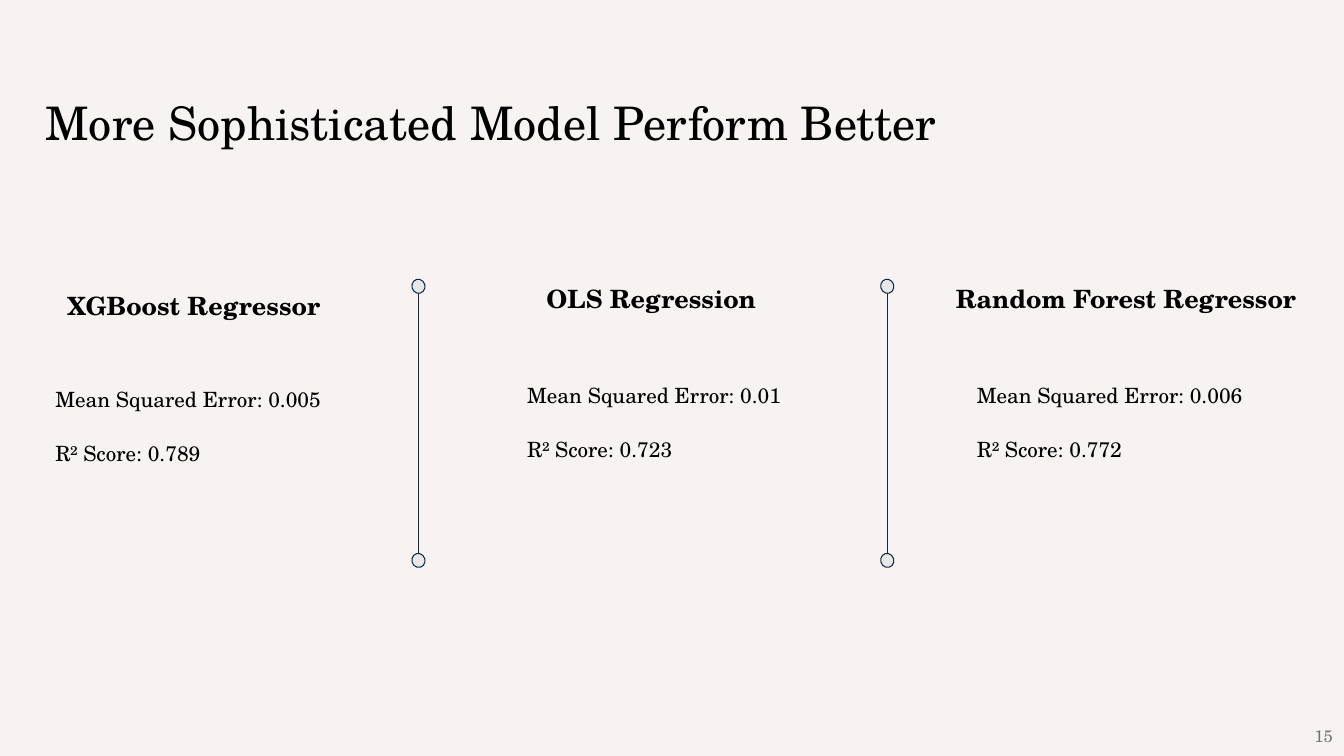
"""Build a slide that compares the scores of three regression models."""
from dataclasses import dataclass

import pptx
import pptx.dml.color
import pptx.enum.shapes
import pptx.enum.text
import pptx.oxml
import pptx.oxml.ns
import pptx.util
from pptx.util import Inches


@dataclass(frozen=True)
class Theme:
    font: str = "TeX Gyre Schola"
    background: str = "F7F3F2"
    text: str = "000000"
    muted: str = "757575"
    line: str = "0E2841"
    dot: str = "E8E8E8"
    title_size: int = 33
    heading_size: int = 18
    body_size: int = 15
    number_size: int = 12
    line_width: float = 0.75


THEME = Theme()

MODELS = [
    ("XGBoost Regressor", (0.67, 2.76, 3.2), (0.45, 3.73), "0.005", "0.789"),
    ("OLS Regression", (5.42, 2.69, 2.69), (5.13, 3.69), "0.01", "0.723"),
    ("Random Forest Regressor", (9.48, 2.69, 3.49), (9.59, 3.69), "0.006", "0.772"),
]
DIVIDERS = (4.15, 8.8)


def rgb(value):
    return pptx.dml.color.RGBColor.from_string(value)


def add_text(slide, box, lines, size, color=THEME.text, bold=False, margins=(0, 0)):
    sp = slide.shapes.add_textbox(*map(Inches, box))
    tf = sp.text_frame
    tf.word_wrap = True
    tf.margin_left = tf.margin_right = Inches(margins[0])
    tf.margin_top = tf.margin_bottom = Inches(margins[1])
    tf.text = "\n".join(lines)
    for p in tf.paragraphs:
        p.font.name = THEME.font
        p.font.size = pptx.util.Pt(size)
        p.font.bold = bold
        p.font.color.rgb = rgb(color)
    return tf


def add_heading(slide, box, text, size, bold=False):
    tf = add_text(slide, box, [text], size, bold=bold)
    tf.paragraphs[0].line_spacing = 1.4


def add_model(slide, name, heading, body, error, score):
    add_heading(slide, (*heading, 0.42), name, THEME.heading_size, bold=True)
    lines = [f"Mean Squared Error: {error}", f"R² Score: {score}"]
    tf = add_text(slide, (*body, 3.28, 1), lines, THEME.body_size, margins=(0.1, 0.1))
    p = tf.paragraphs[1]
    p.space_before = pptx.util.Pt(18)
    p.line_spacing = 1.15


def style_line(line):
    line.color.rgb = rgb(THEME.line)
    line.width = pptx.util.Pt(THEME.line_width)


def add_divider(slide, x, top=2.84, bottom=5.56):
    straight = pptx.enum.shapes.MSO_CONNECTOR.STRAIGHT
    cxn = slide.shapes.add_connector(
        straight, Inches(x), Inches(top), Inches(x), Inches(bottom))
    style_line(cxn.line)
    cxn._element.spPr.append(pptx.oxml.parse_xml(
        f"<a:effectLst {pptx.oxml.ns.nsdecls('a')}/>"))
    width, height = 0.13, 0.14
    for y in (top, bottom):
        dot = slide.shapes.add_shape(
            pptx.enum.shapes.MSO_SHAPE.OVAL, Inches(x - width / 2),
            Inches(y - height / 2), Inches(width), Inches(height))
        dot.rotation = 344.1
        dot.shadow.inherit = False
        dot.fill.solid()
        dot.fill.fore_color.rgb = rgb(THEME.dot)
        style_line(dot.line)


def add_page_number(slide, number):
    tf = add_text(slide, (10.32, 7.1, 3, 0.4), [number], THEME.number_size,
                  color=THEME.muted, margins=(0.1, 0.05))
    tf.vertical_anchor = pptx.enum.text.MSO_ANCHOR.MIDDLE
    tf.paragraphs[0].alignment = pptx.enum.text.PP_ALIGN.RIGHT


def main():
    prs = pptx.Presentation()
    prs.slide_width, prs.slide_height = Inches(13.33), Inches(7.5)
    slide = prs.slides.add_slide(prs.slide_layouts[6])
    slide.background.fill.solid()
    slide.background.fill.fore_color.rgb = rgb(THEME.background)
    add_heading(slide, (0.45, 0.72, 9.41, 0.78),
                "More Sophisticated Model Perform Better", THEME.title_size)
    for model in MODELS:
        add_model(slide, *model)
    for x in DIVIDERS:
        add_divider(slide, x)
    add_page_number(slide, "15")
    prs.save("out.pptx")


if __name__ == "__main__":
    main()
